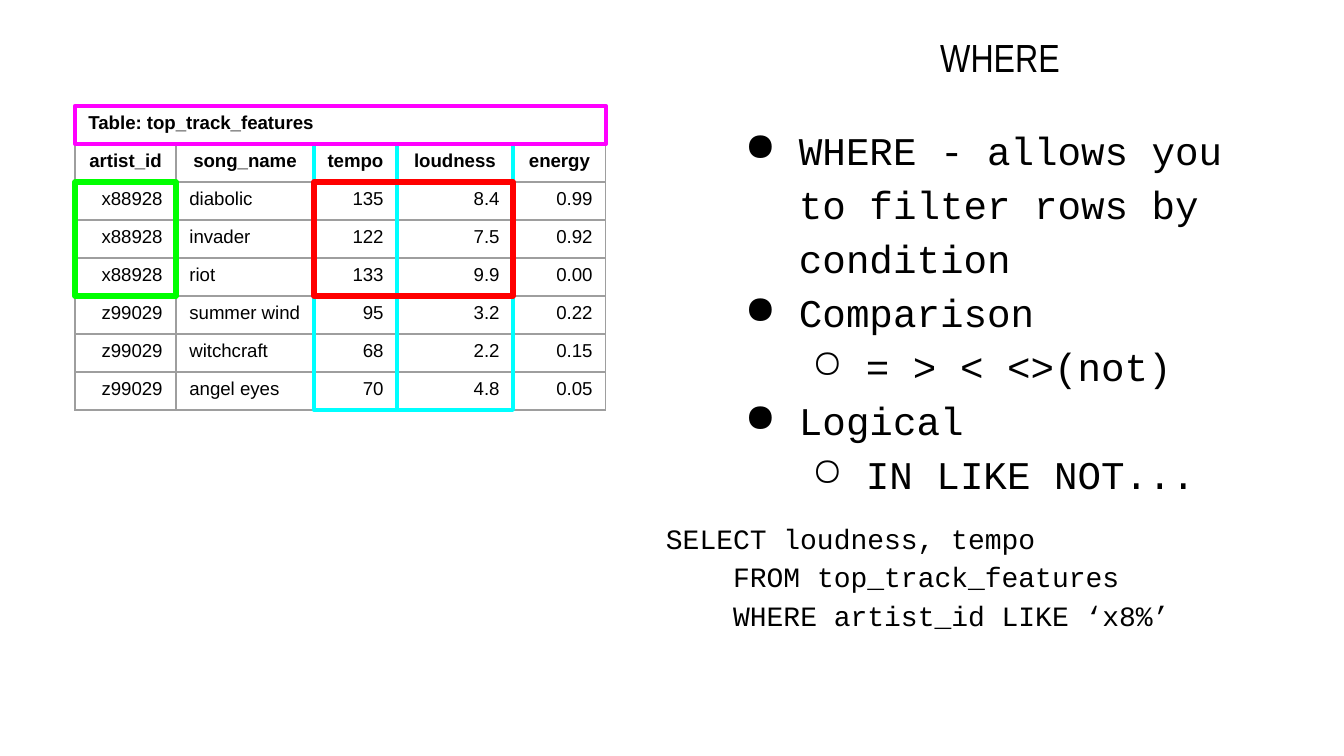
from lxml import etree
from pptx import Presentation
from pptx.dml.color import RGBColor
from pptx.enum.shapes import MSO_SHAPE
from pptx.enum.text import MSO_ANCHOR, PP_ALIGN
from pptx.oxml import parse_xml
from pptx.oxml.ns import qn
from pptx.util import Pt

PX = 914400 / 134.4
RECT = MSO_SHAPE.RECTANGLE
TOP = MSO_ANCHOR.TOP
LEFT, MID, RIGHT = PP_ALIGN.LEFT, PP_ALIGN.CENTER, PP_ALIGN.RIGHT
NS = 'xmlns:a="http://schemas.openxmlformats.org/drawingml/2006/main"'


def px(*nums):
    return [round(n * PX) for n in nums]


def style(font, name, size, color="000000", bold=False):
    font.name, font.size, font.bold = name, Pt(size), bold
    font.color.rgb = RGBColor.from_string(color)


prs = Presentation()
prs.slide_width, prs.slide_height = px(1344, 756)
slide = prs.slides.add_slide(prs.slide_layouts[5])
shapes = slide.shapes

# Title
title = shapes.title
title.left, title.top, title.width, title.height = px(703, 27, 594, 101)
title.text_frame.text = "WHERE"
title.text_frame.vertical_anchor = TOP
para = title.text_frame.paragraphs[0]
para.alignment = MID
style(para.font, "Arial Narrow", 21)

# Bullets and query: text, level (None for plain code)
bullets = [
    ("WHERE - allows you to filter rows by condition", 0),
    ("Comparison", 0),
    ("= > < <>(not)", 1),
    ("Logical", 0),
    ("IN LIKE NOT...", 1),
]
query = [
    ("SELECT loudness, tempo", None),
    ("\tFROM top_track_features", None),
    ("\tWHERE artist_id LIKE ‘x8%’", None),
]
for area, size, lines in [
    ((719, 106, 564, 543), 21, bullets),
    ((653, 503, 630, 117), 15, query),
]:
    frame = shapes.add_textbox(*px(*area)).text_frame
    frame.word_wrap = True
    frame.margin_left, frame.margin_right, frame.margin_top, frame.margin_bottom = px(13, 13, 13, 13)
    for i, (text, level) in enumerate(lines):
        para = frame.add_paragraph() if i else frame.paragraphs[0]
        para.text = text
        if level is not None:
            para.level = level
            props = para._p.get_or_add_pPr()
            margin, indent = px(67 * (level + 1), -54)
            props.set("marL", str(margin))
            props.set("indent", str(indent))
            props.append(parse_xml(f'<a:buClr {NS}><a:srgbClr val="000000"/></a:buClr>'))
            etree.SubElement(props, qn("a:buChar")).set("char", "●○"[level])
        para.line_spacing = 1.15
        style(para.font, "Courier New", size)

# Table
rows = [
    ["Table: top_track_features", "", "", "", ""],
    ["artist_id", "song_name", "tempo", "loudness", "energy"],
    ["x88928", "diabolic", "135", "8.4", "0.99"],
    ["x88928", "invader", "122", "7.5", "0.92"],
    ["x88928", "riot", "133", "9.9", "0.00"],
    ["z99029", "summer wind", "95", "3.2", "0.22"],
    ["z99029", "witchcraft", "68", "2.2", "0.15"],
    ["z99029", "angel eyes", "70", "4.8", "0.05"],
]
widths = [101, 138, 83, 116, 93]
x0, y0, step = 75, 106, 38
table = shapes.add_table(
    len(rows), len(widths), *px(x0, y0, sum(widths), step * len(rows))
).table
table.first_row = table.horz_banding = False
for col, width in zip(table.columns, px(*widths)):
    col.width = width
for r, row in enumerate(rows):
    table.rows[r].height = px(step)[0]
    for c, text in enumerate(row):
        cell = table.cell(r, c)
        cell.text = text
        para = cell.text_frame.paragraphs[0]
        if r == 1:
            para.alignment = MID
        else:
            para.alignment = LEFT if r == 0 or c == 1 else RIGHT
        style(para.font, "Arial", 10, bold=r < 2)
        props = cell._tc.get_or_add_tcPr()
        for side in "LRTB":
            props.append(parse_xml(
                f'<a:ln{side} {NS} w="9525"><a:solidFill>'
                f'<a:srgbClr val="9E9E9E"/></a:solidFill></a:ln{side}>'
            ))
        cell.fill.solid()
        cell.fill.fore_color.rgb = RGBColor.from_string("FFFFFF")
table.cell(0, 0).merge(table.cell(0, 4))

# Frames: first column, end column, first row, end row, colour, weight
edges = [x0 + sum(widths[:i]) for i in range(len(widths) + 1)]
for c1, c2, r1, r2, color, weight in [
    (3, 4, 1, 8, "00FFFF", 2.25),
    (2, 3, 1, 8, "00FFFF", 2.25),
    (0, 5, 0, 1, "FF00FF", 2.25),
    (0, 1, 2, 5, "00FF00", 3),
    (2, 4, 2, 5, "FF0000", 3),
]:
    area = edges[c1], y0 + r1 * step, edges[c2] - edges[c1], (r2 - r1) * step
    box = shapes.add_shape(RECT, *px(*area))
    box.shadow.inherit = False
    box.fill.background()
    box.line.color.rgb = RGBColor.from_string(color)
    box.line.width = Pt(weight)

prs.save("out.pptx")
